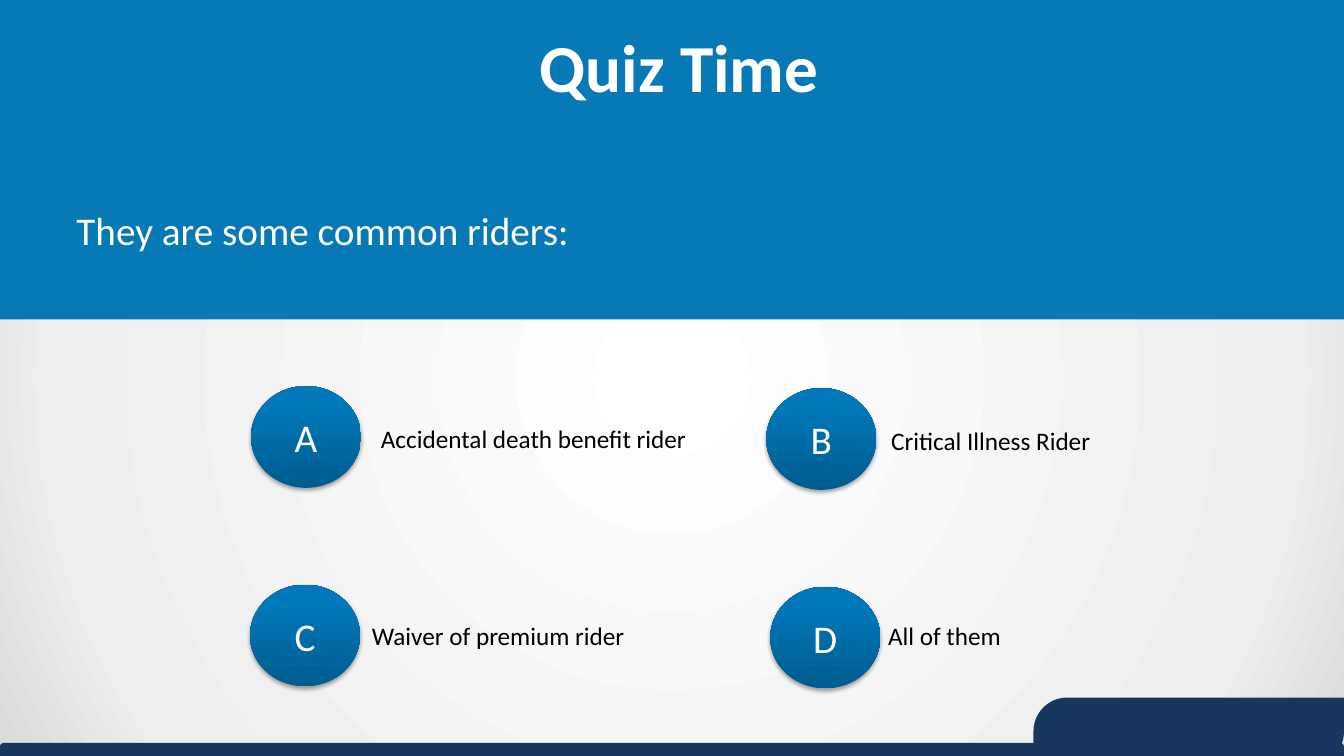
from dataclasses import dataclass

from lxml import etree
from pptx import Presentation
from pptx.dml.color import RGBColor
from pptx.enum.shapes import MSO_SHAPE
from pptx.enum.text import MSO_ANCHOR, MSO_AUTO_SIZE, PP_ALIGN
from pptx.oxml import parse_xml
from pptx.oxml.ns import nsdecls, qn
from pptx.util import Inches, Pt

RECT = MSO_SHAPE.RECTANGLE
ROUNDED = MSO_SHAPE.ROUNDED_RECTANGLE
DIAGONAL = MSO_SHAPE.ROUND_2_DIAG_RECTANGLE
OVAL = MSO_SHAPE.OVAL
CENTER = PP_ALIGN.CENTER
MIDDLE = MSO_ANCHOR.MIDDLE
FIT_SHAPE = MSO_AUTO_SIZE.SHAPE_TO_FIT_TEXT

FONT = "Calibri"
BLUE, NAVY, WHITE, BLACK = "0779B7", "17375E", "FFFFFF", "000000"
BACKDROP_STOPS = [(0, "FFFFFF"), (81, "EEEEEE"), (100, "D9D9D9")]
BADGE_STOPS = [(0, "005C8E"), (80, "0077B8"), (100, "0078B9")]
CIRCULAR = ('<a:path path="circle"><a:fillToRect l="50000" t="50000" '
            'r="50000" b="50000"/></a:path>')
UPWARD = '<a:lin ang="16200000" scaled="0"/>'
BADGE_W, BADGE_H = 1.09, 1.01


@dataclass
class Answer:
    letter: str
    text: str
    badge_left: float
    badge_top: float
    text_left: float
    text_top: float
    text_width: float


ANSWERS = [
    Answer("A", "Accidental death benefit rider", 2.49, 3.83, 3.68, 4.15, 3.27),
    Answer("B", "Critical Illness Rider", 7.6, 3.85, 8.74, 4.17, 2.2),
    Answer("C", "Waiver of premium rider", 2.48, 5.8, 3.59, 6.1, 2.74),
    Answer("D", "All of them", 7.64, 5.82, 8.71, 6.11, 1.36),
]


def color(value: str) -> RGBColor:
    return RGBColor.from_string(value)


def set_gradient(parent, stops: list[tuple[int, str]], direction: str) -> None:
    """Replace the solid fill inside parent with a gradient."""
    stop_xml = "".join(
        f'<a:gs pos="{pos * 1000}"><a:srgbClr val="{value}"/></a:gs>'
        for pos, value in stops)
    gradient = parse_xml(f'<a:gradFill {nsdecls("a")} rotWithShape="1">'
                         f'<a:gsLst>{stop_xml}</a:gsLst>{direction}</a:gradFill>')
    parent.replace(parent.find(qn("a:solidFill")), gradient)


def add_shadow(sp) -> None:
    effects = sp._element.spPr.find(qn("a:effectLst"))
    shadow = etree.SubElement(
        effects, qn("a:outerShdw"), blurRad=str(Pt(3.1)), dist=str(Pt(1.8)),
        dir="5400000", rotWithShape="0")
    shade = etree.SubElement(shadow, qn("a:srgbClr"), val=BLACK)
    etree.SubElement(shade, qn("a:alpha"), val="35000")


def add_shape(s, kind, left: float, top: float, width: float, height: float,
              fill: str):
    sp = s.shapes.add_shape(kind, Inches(left), Inches(top),
                            Inches(width), Inches(height))
    sp.fill.solid()
    sp.fill.fore_color.rgb = color(fill)
    sp.line.fill.background()
    sp.shadow.inherit = False
    return sp


def write(tf, text: str, size: int, value: str, bold: bool = False):
    p = tf.paragraphs[0]
    p.text = text
    p.font.name = FONT
    p.font.size = Pt(size)
    p.font.bold = bold
    p.font.color.rgb = color(value)
    return p


def add_text(s, left: float, top: float, width: float, height: float,
             text: str, size: int, value: str, bold: bool = False,
             wrap: bool = True, grow: bool = True):
    tf = s.shapes.add_textbox(Inches(left), Inches(top),
                              Inches(width), Inches(height)).text_frame
    tf.word_wrap = wrap
    if grow:
        tf.auto_size = FIT_SHAPE
    return write(tf, text, size, value, bold)


def add_badge(s, answer: Answer) -> None:
    sp = add_shape(s, OVAL, answer.badge_left, answer.badge_top,
                   BADGE_W, BADGE_H, BLUE)
    set_gradient(sp._element.spPr, BADGE_STOPS, UPWARD)
    add_shadow(sp)
    sp.text_frame.vertical_anchor = MIDDLE
    write(sp.text_frame, answer.letter, 28, WHITE).alignment = CENTER


def main() -> None:
    prs = Presentation()
    prs.slide_width, prs.slide_height = Inches(13.33), Inches(7.5)
    s = prs.slides.add_slide(prs.slide_layouts[6])
    s.background.fill.solid()
    set_gradient(s._element.find(".//" + qn("p:bgPr")), BACKDROP_STOPS, CIRCULAR)

    add_shape(s, RECT, 0, 0, 13.33, 3.17, BLUE)
    add_shape(s, ROUNDED, 0, 7.37, 13.33, 0.22, NAVY)
    footer_tab = add_shape(s, DIAGONAL, 10.25, 6.92, 3.08, 0.67, NAVY)
    footer_tab.adjustments[0] = 0.5
    footer_tab.adjustments[1] = 0

    add_text(s, 0.66, 2, 12.06, 0.57, "They are some common riders:", 28, WHITE)
    title = add_text(s, 0.41, 0.29, 12.65, 0.79, "Quiz Time", 48, WHITE,
                     bold=True, grow=False)
    title.alignment = CENTER
    title.line_spacing = 0.9

    for answer in ANSWERS:
        add_badge(s, answer)
        add_text(s, answer.text_left, answer.text_top, answer.text_width, 0.4,
                 answer.text, 18, BLACK, wrap=False)

    prs.save("out.pptx")


if __name__ == "__main__":
    main()
